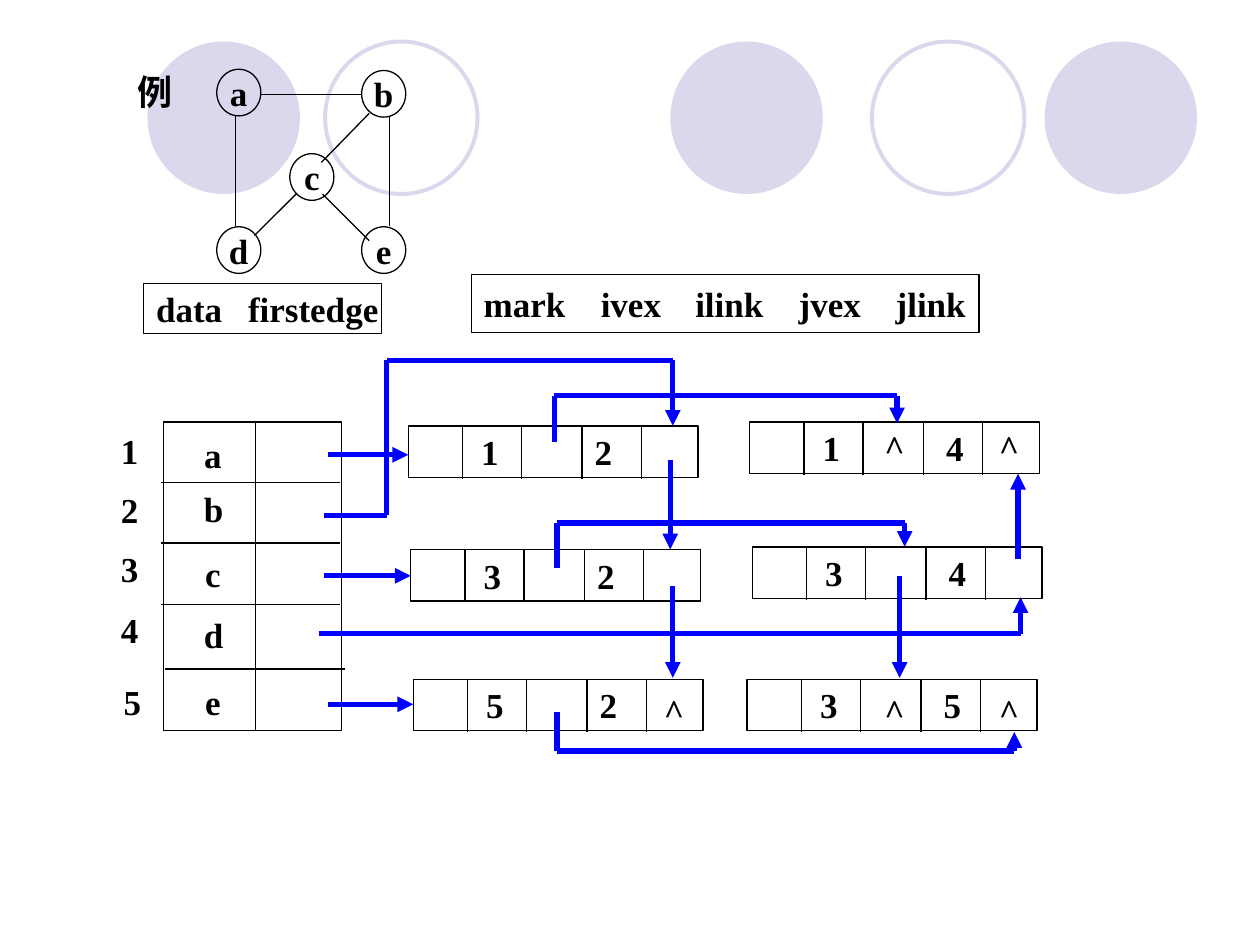
import pptx
import pptx.util
import pptx.dml.color
import pptx.enum.shapes
import pptx.enum.text
import pptx.oxml.ns
from dataclasses import dataclass
from itertools import pairwise
from lxml import etree

PX = 9144  # 100 px to the inch
SHAPE = pptx.enum.shapes.MSO_SHAPE
ALIGN = pptx.enum.text.PP_ALIGN
qn = pptx.oxml.ns.qn


@dataclass(frozen=True)
class Theme:
    ink: str = "000000"
    link: str = "0000FF"
    circle: str = "D9D8EC"
    font: str = "Times New Roman"
    size: int = 20
    thin: float = 0.75
    ring: float = 2.25
    thick: float = 3


THEME = Theme()


def rgb(color):
    return pptx.dml.color.RGBColor.from_string(color)


def set_text(sp, text, align=ALIGN.CENTER, wrap=False, tabs=()):
    """Write one bold paragraph; tabs are (px, alignment) pairs."""
    tf = sp.text_frame
    tf.word_wrap = wrap
    tf.vertical_anchor = pptx.enum.text.MSO_ANCHOR.MIDDLE
    p = tf.paragraphs[0]
    p.text = text
    p.alignment = align
    if tabs:
        tab_list = etree.SubElement(p._p.get_or_add_pPr(), qn("a:tabLst"))
        for pos, kind in tabs:
            etree.SubElement(tab_list, qn("a:tab"), pos=str(pos * PX), algn=kind)
    p.font.name = THEME.font
    p.font.size = pptx.util.Pt(THEME.size)
    p.font.bold = True
    p.font.color.rgb = rgb(THEME.ink)


def add_label(slide, x, y, text, w=34, h=43):
    sp = slide.shapes.add_textbox(x * PX, y * PX, w * PX, h * PX)
    set_text(sp, text)


def add_box(slide, kind, x, y, w, h, line=THEME.ink, width=THEME.thin, fill=None):
    sp = slide.shapes.add_shape(kind, x * PX, y * PX, w * PX, h * PX)
    sp.shadow.inherit = False
    if fill:
        sp.fill.solid()
        sp.fill.fore_color.rgb = rgb(fill)
        sp.line.fill.background()
    else:
        sp.fill.background()
        sp.line.color.rgb = rgb(line)
        sp.line.width = pptx.util.Pt(width)
    return sp


def add_line(slide, x1, y1, x2, y2, color=THEME.ink, width=THEME.thin, arrow=False):
    sp = slide.shapes.add_connector(
        pptx.enum.shapes.MSO_CONNECTOR.STRAIGHT, x1 * PX, y1 * PX, x2 * PX, y2 * PX)
    sp.line.color.rgb = rgb(color)
    sp.line.width = pptx.util.Pt(width)
    if arrow:
        etree.SubElement(sp.line._get_or_add_ln(), qn("a:tailEnd"), type="triangle")
    etree.SubElement(sp._element.spPr, qn("a:effectLst"))


def draw_circles(slide, x, y):
    """Row of decorative discs and rings."""
    for dx in (0, 415, 712):
        add_box(slide, SHAPE.OVAL, x + dx, y, 121, 121, fill=THEME.circle)
    for dx in (141, 575):
        add_box(slide, SHAPE.OVAL, x + dx, y, 121, 121, THEME.circle, THEME.ring)


def draw_graph(slide, x, y):
    """Undirected graph with its caption."""
    add_label(slide, x, y, "例", w=48)
    nodes = {"a": (73, 4), "b": (188, 5), "c": (131, 71), "d": (73, 129), "e": (188, 129)}
    for name, (dx, dy) in nodes.items():
        set_text(add_box(slide, SHAPE.OVAL, x + dx, y + dy, 35, 37), name)
    edges = ((107, 24, 188, 24), (88, 41, 88, 128), (210, 41, 210, 128),
             (157, 103, 194, 140), (194, 39, 156, 78), (136, 103, 103, 136))
    for x1, y1, x2, y2 in edges:
        add_line(slide, x + x1, y + y1, x + x2, y + y2)


def draw_fields(slide, x, y, w, h, names, stops):
    """Box that lists the fields of one kind of node."""
    sp = add_box(slide, SHAPE.RECTANGLE, x, y, w, h)
    set_text(sp, "\t".join(names), ALIGN.LEFT, True, [(stop, "l") for stop in stops])
    sp.text_frame.margin_right = 0


def draw_vertices(slide, x, y):
    """Numbered vertex array."""
    w, h = 141, 245
    add_box(slide, SHAPE.RECTANGLE, x, y, w, h)
    add_line(slide, x + 73, y, x + 73, y + h)
    for dy in (48, 96, 145):
        add_line(slide, x - 2, y + dy, x + w - 1, y + dy)
    add_line(slide, x + 1, y + 196, x + w + 3, y + 196)
    rows = zip("abcde", (1, 48, 95, 143, 200), (4, 47, 99, 147, 200))
    for number, (name, number_y, name_y) in enumerate(rows, 1):
        add_label(slide, x - (42 if number == 5 else 44), y + number_y, str(number))
        add_label(slide, x + 22, y + name_y, name)


def draw_record(slide, x, y, ivex, jvex, jvex_x, nulls=(), null_dy=0):
    """Edge record of five cells; nulls are the offsets of empty links."""
    sp = add_box(slide, SHAPE.RECTANGLE, x, y, 230, 41)
    set_text(sp, f"\t{ivex}\t{jvex}", ALIGN.LEFT, True, [(55, "ctr"), (jvex_x, "ctr")])
    for dx in (43, 90, 138, 185):
        add_line(slide, x + dx, y, x + dx, y + 42)
    for dx in nulls:
        add_label(slide, x + dx, y + null_dy, "^")


def draw_links(slide, x, y):
    """Pointer routes, each ending in an arrowhead."""
    routes = (
        # from the vertex array
        ((7, 75), (71, 75)),
        ((4, 123), (54, 123), (54, 0), (281, 0), (281, 52)),
        ((4, 171), (73, 171)),
        ((0, 217), (557, 217), (557, 188)),
        ((7, 273), (75, 273)),
        # from ilink
        ((187, 65), (187, 28), (459, 28), (459, 50)),
        ((189, 165), (189, 129), (465, 129), (465, 148)),
        ((189, 279), (189, 310), (552, 310), (552, 295)),
        ((461, 171), (461, 252)),
        # from jlink
        ((279, 79), (279, 150)),
        ((281, 179), (281, 252)),
        ((555, 158), (555, 90)),
    )
    for route in routes:
        for start, end in pairwise(route):
            add_line(slide, x + start[0], y + start[1], x + end[0], y + end[1],
                     THEME.link, THEME.thick, arrow=end == route[-1])


def main():
    prs = pptx.Presentation()
    prs.slide_width, prs.slide_height = 1000 * PX, 750 * PX
    slide = prs.slides.add_slide(prs.slide_layouts[6])

    draw_circles(slide, 117, 33)
    draw_graph(slide, 99, 51)
    draw_vertices(slide, 130, 335)

    # Edge records, left column then right column
    left, right = 145, 153
    draw_record(slide, 324, 338, 1, 2, left)
    draw_record(slide, 326, 436, 3, 2, left)
    draw_record(slide, 328, 539, 5, 2, left, (189,), 3)
    draw_record(slide, 595, 335, 1, 4, right, (97, 188), -2)
    draw_record(slide, 597, 434, 3, 4, right)
    draw_record(slide, 593, 539, 3, 5, right, (99, 190), 3)
    draw_links(slide, 253, 286)

    # Field names
    draw_fields(slide, 114, 225, 189, 40, ("data", "firstedge"), (73,))
    draw_fields(slide, 374, 218, 403, 46,
                ("mark", "ivex", "ilink", "jvex", "jlink"), (93, 168, 250, 327))
    prs.save("out.pptx")


if __name__ == "__main__":
    main()
